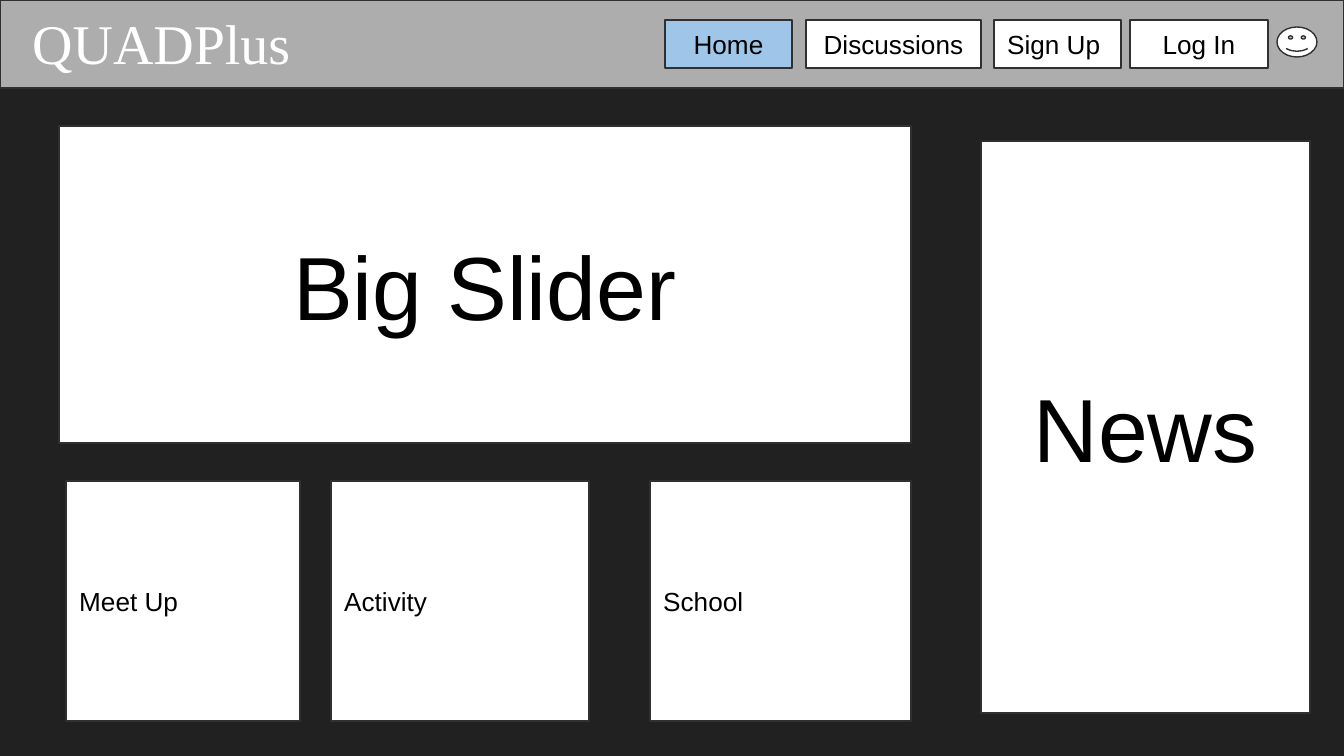
from dataclasses import dataclass

import pptx
import pptx.dml.color
import pptx.enum.shapes
import pptx.enum.text
import pptx.util

RGBColor = pptx.dml.color.RGBColor
Align = pptx.enum.text.PP_ALIGN
Anchor = pptx.enum.text.MSO_ANCHOR
Preset = pptx.enum.shapes.MSO_SHAPE

DARK = RGBColor(0x21, 0x21, 0x21)
OUTLINE = RGBColor(0x30, 0x30, 0x30)
GRAY = RGBColor(0xAD, 0xAD, 0xAD)
BLUE = RGBColor(0x9F, 0xC5, 0xE8)
WHITE = RGBColor(0xFF, 0xFF, 0xFF)
BLACK = RGBColor(0x00, 0x00, 0x00)

EMU_PER_PIXEL = 914400 / 134.4
WIDTH, HEIGHT = 1344, 756
NAV_TOP, NAV_HEIGHT = 20, 48
CARD_TOP, CARD_HEIGHT = 481, 240


@dataclass(frozen=True)
class Box:
    """An outlined shape of the page, in pixels, with an optional label."""
    left: int
    top: int
    width: int
    height: int
    label: str = ""
    size: int = 14
    align: Align = Align.CENTER
    fill: RGBColor = WHITE
    preset: Preset = Preset.RECTANGLE


def px(pixels: int) -> pptx.util.Emu:
    """Turn pixels into EMU."""
    return pptx.util.Emu(round(pixels * EMU_PER_PIXEL))


def write(shape, text: str, font: str, size: int, color: RGBColor,
          align: Align, anchor: Anchor) -> None:
    """Put one line of text into a shape."""
    frame = shape.text_frame
    frame.word_wrap = True
    frame.vertical_anchor = anchor
    frame.margin_left = frame.margin_right = pptx.util.Inches(0.1)
    frame.margin_top = frame.margin_bottom = pptx.util.Inches(0.1)
    paragraph = frame.paragraphs[0]
    paragraph.alignment = align
    run = paragraph.add_run()
    run.text = text
    run.font.name = font
    run.font.size = pptx.util.Pt(size)
    run.font.color.rgb = color


def draw_box(slide, box: Box) -> None:
    """Draw one outlined shape and its label."""
    shape = slide.shapes.add_shape(
        box.preset, px(box.left), px(box.top), px(box.width), px(box.height))
    shape.shadow.inherit = False
    shape.fill.solid()
    shape.fill.fore_color.rgb = box.fill
    shape.line.color.rgb = OUTLINE
    shape.line.width = pptx.util.Pt(0.75)
    if box.label:
        write(shape, box.label, "Arial", box.size, BLACK, box.align, Anchor.MIDDLE)


def draw_site_name(slide, name: str) -> None:
    """Write the site name at the left of the header."""
    text_box = slide.shapes.add_textbox(px(19), px(-5), px(469), px(101))
    write(text_box, name, "Times New Roman", 30, WHITE, Align.LEFT, Anchor.TOP)


def nav_button(left: int, width: int, label: str, align: Align = Align.CENTER,
               fill: RGBColor = WHITE) -> Box:
    """Describe a button of the header."""
    return Box(left, NAV_TOP, width, NAV_HEIGHT, label, align=align, fill=fill)


def card(left: int, width: int, label: str) -> Box:
    """Describe a card of the bottom row."""
    return Box(left, CARD_TOP, width, CARD_HEIGHT, label, align=Align.LEFT)


BOXES = [
    Box(0, 0, WIDTH, 88, fill=GRAY),
    nav_button(665, 127, "Home", fill=BLUE),
    nav_button(806, 175, "Discussions"),
    nav_button(994, 127, "Sign Up", align=Align.LEFT),
    nav_button(1130, 138, "Log In"),
    Box(1277, 27, 40, 30, preset=Preset.SMILEY_FACE),
    Box(59, 126, 852, 317, "Big Slider", size=48),
    Box(981, 141, 329, 572, "News", size=48),
    card(66, 234, "Meet Up"),
    card(331, 258, "Activity"),
    card(650, 261, "School"),
]


def main() -> None:
    """Build and save the presentation."""
    presentation = pptx.Presentation()
    presentation.slide_width = px(WIDTH)
    presentation.slide_height = px(HEIGHT)
    slide = presentation.slides.add_slide(presentation.slide_layouts[6])
    slide.background.fill.solid()
    slide.background.fill.fore_color.rgb = DARK
    for box in BOXES:
        draw_box(slide, box)
    draw_site_name(slide, "QUADPlus")
    presentation.save("out.pptx")


main()
